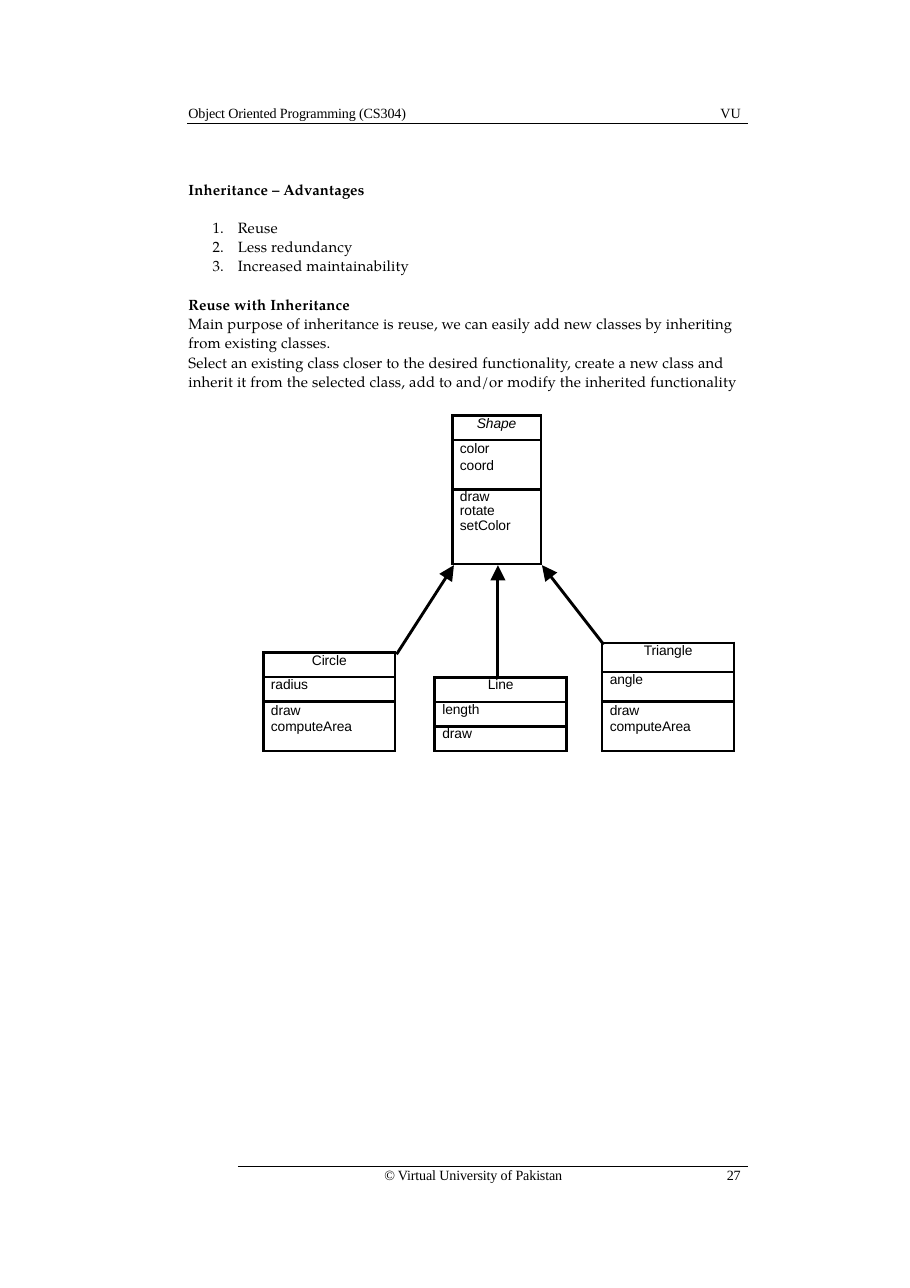
from lxml import etree
from pptx import Presentation
from pptx import util as u
from pptx.dml.color import RGBColor
from pptx.enum import shapes, text
from pptx.oxml import ns

COLOURS = {"ink": "000000", "paper": "FFFFFF"}
SERIF, BOOK, SANS = "Times New Roman", "TeX Gyre Pagella", "Arial"
WIDTH, HEIGHT = u.Inches(8.26), u.Inches(11.69)
LEFT, RIGHT = 20.7, 81.4
SMALL_ROW, MEDIUM_ROW, TALL_ROW = 1.9, 2.28, 3.83

ADVANTAGES = ["Reuse", "Less redundancy", "Increased maintainability"]
REUSE = [
    "Main purpose of inheritance is reuse, we can easily add new classes by "
    "inheriting from existing classes.",
    "Select an existing class closer to the desired functionality, create a new "
    "class and inherit it from the selected class, add to and/or modify the "
    "inherited functionality",
]
CLASSES = [
    (49.7, 43.8, 9.75, [SMALL_ROW, TALL_ROW, 5.8],
     [["Shape"], ["color", "coord"], ["draw", "rotate", "setColor"]]),
    (28.93, 58.3, 14.5, [SMALL_ROW, SMALL_ROW, TALL_ROW],
     [["Circle"], ["radius"], ["draw", "computeArea"]]),
    (47.77, 58.3, 14.5, [SMALL_ROW] * 3,
     [["Line"], ["length"], ["draw"]]),
    (66.16, 58.3, 14.5, [MEDIUM_ROW, MEDIUM_ROW, TALL_ROW],
     [["Triangle"], ["angle"], ["draw", "computeArea"]]),
]
INHERITS = [
    ((43.58, 50.8), (49.88, 43.88)),
    ((54.72, 52.58), (54.72, 43.88)),
    ((66.34, 50.04), (59.56, 43.88)),
]


def across(percent):
    return round(WIDTH * percent / 100)


def down(percent):
    return round(HEIGHT * percent / 100)


def style(paragraph, face, size, tracking=0, bold=False, italic=False):
    font = paragraph.font
    font.name, font.size = face, u.Pt(size)
    font.bold, font.italic = bold, italic
    font.color.rgb = RGBColor.from_string(COLOURS["ink"])
    font._element.set("spc", str(tracking))


def clear_frame(frame):
    frame.margin_left = frame.margin_right = 0
    frame.margin_top = frame.margin_bottom = 0
    frame.vertical_anchor = text.MSO_ANCHOR.TOP
    frame.auto_size = text.MSO_AUTO_SIZE.NONE
    frame.word_wrap = True


def add_frame(slide, x, y, width, height):
    box = slide.shapes.add_textbox(across(x), down(y), across(width), down(height))
    clear_frame(box.text_frame)
    return box.text_frame


def add_paragraph(frame, words):
    first = frame.paragraphs[0]
    paragraph = frame.add_paragraph() if first.text else first
    paragraph.text = words
    return paragraph


def add_margin_note(slide, words, x, y, width, align):
    note = add_paragraph(add_frame(slide, x, y, width, 1.4), words)
    note.alignment = align
    style(note, SERIF, 9.2, -10)


def add_line(slide, start, end, weight, arrow=False):
    line = slide.shapes.add_connector(
        shapes.MSO_CONNECTOR.STRAIGHT,
        across(start[0]), down(start[1]), across(end[0]), down(end[1]))
    line.line.width = u.Pt(weight)
    line.line.color.rgb = RGBColor.from_string(COLOURS["ink"])
    if arrow:
        etree.SubElement(line.line._get_or_add_ln(), ns.qn("a:tailEnd"),
                         type="triangle", w="lg", len="lg")
    etree.SubElement(line._element.spPr, ns.qn("a:effectLst"))


def add_heading(slide, words):
    heading = slide.shapes.title
    heading.left, heading.top = across(LEFT), down(14.03)
    heading.width, heading.height = across(62), down(1.6)
    clear_frame(heading.text_frame)
    paragraph = add_paragraph(heading.text_frame, words)
    paragraph.alignment = text.PP_ALIGN.LEFT
    paragraph.line_spacing = 1.0
    style(paragraph, BOOK, 9.7, 10, bold=True)


def add_body(slide):
    body = add_frame(slide, LEFT, 17, 62.3, 14)
    for index, advantage in enumerate(ADVANTAGES):
        item = add_paragraph(body, advantage)
        properties = item._p.get_or_add_pPr()
        properties.set("marL", str(u.Inches(0.45)))
        properties.set("indent", str(-u.Inches(0.23)))
        if index:
            item.space_before = u.Pt(0.8)
        etree.SubElement(properties, ns.qn("a:buFont"), typeface=BOOK)
        etree.SubElement(properties, ns.qn("a:buAutoNum"), type="arabicPeriod")
        style(item, BOOK, 9.7, 10)

    subheading = add_paragraph(body, "Reuse with Inheritance")
    subheading.space_before = u.Pt(13.8)
    style(subheading, BOOK, 9.7, 10, bold=True)
    for sentence in REUSE:
        paragraph = add_paragraph(body, sentence)
        paragraph.line_spacing = u.Pt(12.4)
        paragraph.space_before = u.Pt(0.2)
        style(paragraph, BOOK, 9.7, 12)


def add_borders(cell):
    properties = cell._tc.get_or_add_tcPr()
    for place, side in enumerate(("lnL", "lnR", "lnT", "lnB")):
        edge = etree.Element(ns.qn(f"a:{side}"), w=str(u.Pt(1.88)))
        fill = etree.SubElement(edge, ns.qn("a:solidFill"))
        etree.SubElement(fill, ns.qn("a:srgbClr"), val=COLOURS["ink"])
        properties.insert(place, edge)


def add_class(slide, x, bottom, width, heights, compartments):
    total = sum(heights)
    table = slide.shapes.add_table(
        len(heights), 1, across(x), down(bottom - total),
        across(width), down(total)).table
    table.first_row = table.horz_banding = False
    for index, (height, members) in enumerate(zip(heights, compartments)):
        table.rows[index].height = down(height)
        cell = table.cell(index, 0)
        cell.margin_left = 0 if index == 0 else u.Inches(0.07)
        cell.margin_right = cell.margin_top = cell.margin_bottom = 0
        cell.fill.solid()
        cell.fill.fore_color.rgb = RGBColor.from_string(COLOURS["paper"])
        add_borders(cell)
        for member in members:
            paragraph = add_paragraph(cell.text_frame, member)
            if index == 0:
                paragraph.alignment = text.PP_ALIGN.CENTER
            if len(members) == 2:
                paragraph.line_spacing = u.Pt(10.8)
            elif len(members) == 3:
                paragraph.line_spacing = 0.94
            style(paragraph, SANS, 9, -5, italic=member == "Shape")


def main():
    deck = Presentation()
    deck.slide_width, deck.slide_height = WIDTH, HEIGHT
    slide = deck.slides.add_slide(deck.slide_layouts[5])

    align = text.PP_ALIGN
    add_margin_note(slide, "Object Oriented Programming (CS304)", LEFT, 8.13, 30, align.LEFT)
    add_margin_note(slide, "VU", RIGHT - 5, 8.13, 5, align.RIGHT)
    add_line(slide, (20.58, 9.58), (82.2, 9.58), 0.66)
    add_line(slide, (26.15, 90.59), (82.2, 90.59), 0.66)
    add_margin_note(slide, "© Virtual University of Pakistan", 37, 90.55, 30, align.CENTER)
    add_margin_note(slide, "27", RIGHT - 5, 90.6, 5, align.RIGHT)

    add_heading(slide, "Inheritance – Advantages")
    add_body(slide)
    for diagram in CLASSES:
        add_class(slide, *diagram)
    for child, parent in INHERITS:
        add_line(slide, child, parent, 1.9, arrow=True)
    deck.save("out.pptx")


if __name__ == "__main__":
    main()
